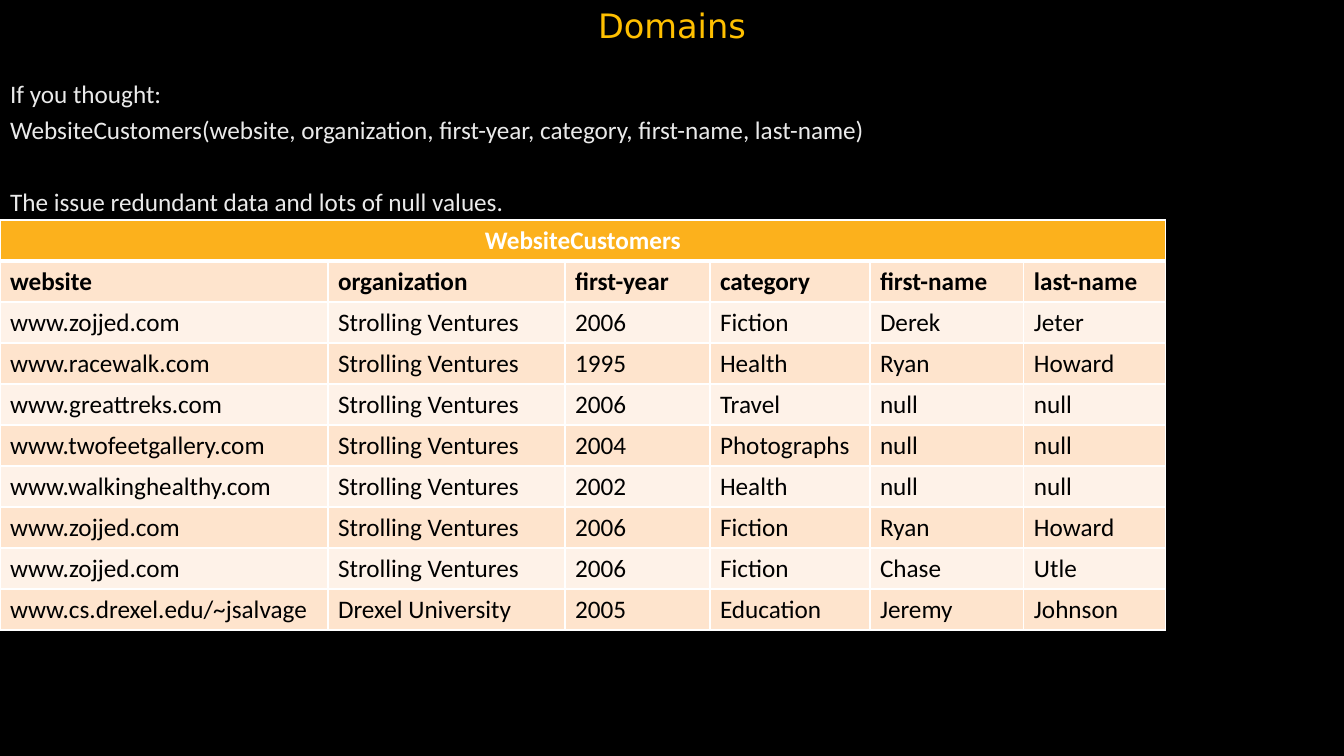
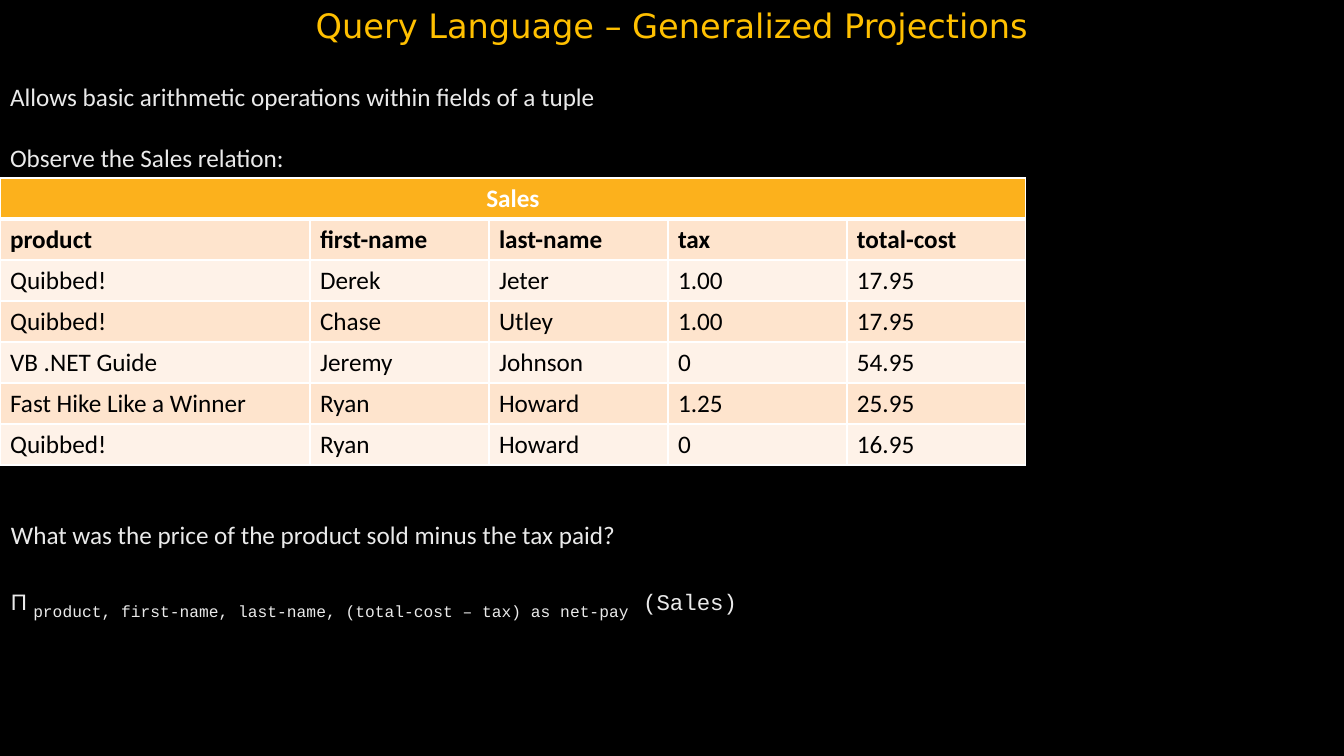
from lxml.etree import SubElement
from pptx import Presentation
from pptx.dml.color import RGBColor
from pptx.enum.text import MSO_ANCHOR as ANCHOR, MSO_AUTO_SIZE as AUTO, PP_ALIGN as ALIGN
from pptx.oxml.ns import qn
from pptx.util import Emu, Pt

BLACK = RGBColor(0x00, 0x00, 0x00)
WHITE = RGBColor(0xFF, 0xFF, 0xFF)
GOLD = RGBColor(0xFF, 0xC0, 0x00)
PALE = RGBColor(0xEA, 0xEA, 0xEA)
AMBER = RGBColor(0xFC, 0xB1, 0x1C)
PEACH = RGBColor(0xFE, 0xE4, 0xCD)
CREAM = RGBColor(0xFE, 0xF2, 0xE8)

TITLE_FONT, BODY_FONT, CODE_FONT = "DejaVu Sans", "Calibri", "Courier New"
SLIDE_W, SLIDE_H = 1344, 756
TITLE_BOX = (0, 0, SLIDE_W, 50)
ROW_H = 41
PX_PER_INCH = 100.8


def px(n):
    return Emu(round(n * 914400 / PX_PER_INCH))


def place(sp, box):
    sp.left, sp.top, sp.width, sp.height = map(px, box)


def add_run(p, text, color, size=18, font=BODY_FONT, bold=False, baseline=None):
    r = p.add_run()
    r.text = text
    r.font.size = Pt(size)
    r.font.name = font
    r.font.bold = bold
    r.font.color.rgb = color
    if baseline:
        r.font._element.set("baseline", str(baseline * 1000))


def fill_text(tf, paragraphs):
    tf.word_wrap = True
    tf.auto_size = AUTO.NONE
    tf.vertical_anchor = ANCHOR.TOP
    for i, (space, runs) in enumerate(paragraphs):
        p = tf.add_paragraph() if i else tf.paragraphs[0]
        pPr = p._p.get_or_add_pPr()
        pPr.set("marL", "0")
        pPr.set("indent", "0")
        SubElement(pPr, qn("a:buNone"))
        p.space_before = Pt(space)
        p.alignment = ALIGN.LEFT
        for text, style in runs:
            add_run(p, text, PALE, **style)


def plain(space, text):
    return space, [(text, {})]


def add_base(prs, title, body_box, paragraphs):
    s = prs.slides.add_slide(prs.slide_layouts[1])
    sp = s.shapes.title
    place(sp, TITLE_BOX)
    tf = sp.text_frame
    tf.auto_size = AUTO.NONE
    tf.vertical_anchor = ANCHOR.BOTTOM
    p = tf.paragraphs[0]
    p.alignment = ALIGN.CENTER
    add_run(p, title, GOLD, 24, TITLE_FONT)
    body = s.placeholders[1]
    place(body, body_box)
    fill_text(body.text_frame, paragraphs)
    return s


def set_borders(cell, **widths):
    tcPr = cell._tc.get_or_add_tcPr()
    for side in "LRTB":
        ln = SubElement(tcPr, qn(f"a:ln{side}"), w=str(Pt(widths.get(side, 1))))
        solid = SubElement(ln, qn("a:solidFill"))
        SubElement(solid, qn("a:srgbClr"), val=str(WHITE))


def add_relation(s, left, top, name, col_widths, rows):
    n_rows, n_cols = len(rows) + 1, len(col_widths)
    box = (left, top, sum(col_widths), ROW_H * n_rows)
    table = s.shapes.add_table(n_rows, n_cols, *map(px, box)).table
    table.first_row = table.horz_banding = False
    for col, width in zip(table.columns, col_widths):
        col.width = px(width)
    for row in table.rows:
        row.height = px(ROW_H)

    for cell in table.rows[0].cells:
        set_borders(cell, B=3)
        cell.fill.solid()
        cell.fill.fore_color.rgb = AMBER
    header = table.cell(0, 0)
    header.merge(table.cell(0, n_cols - 1))
    p = header.text_frame.paragraphs[0]
    p.alignment = ALIGN.CENTER
    add_run(p, name, WHITE, bold=True)

    for i, values in enumerate(rows):
        for j, value in enumerate(values):
            cell = table.cell(i + 1, j)
            set_borders(cell, T=1 if i else 3)
            cell.fill.solid()
            cell.fill.fore_color.rgb = CREAM if i % 2 else PEACH
            add_run(cell.text_frame.paragraphs[0], value, BLACK, bold=i == 0)


def add_domains(prs):
    s = add_base(prs, "Domains", (0, 73, SLIDE_W, 147), [
        plain(0, "If you thought:"),
        plain(4, "WebsiteCustomers(website, organization, first-year, category, first-name, last-name)"),
        plain(30, "The issue redundant data and lots of null values."),
    ])
    org = "Strolling Ventures"
    add_relation(s, 0, 220, "WebsiteCustomers", [328, 237, 145, 160, 154, 142], [
        ("website", "organization", "first-year", "category", "first-name", "last-name"),
        ("www.zojjed.com", org, "2006", "Fiction", "Derek", "Jeter"),
        ("www.racewalk.com", org, "1995", "Health", "Ryan", "Howard"),
        ("www.greattreks.com", org, "2006", "Travel", "null", "null"),
        ("www.twofeetgallery.com", org, "2004", "Photographs", "null", "null"),
        ("www.walkinghealthy.com", org, "2002", "Health", "null", "null"),
        ("www.zojjed.com", org, "2006", "Fiction", "Ryan", "Howard"),
        ("www.zojjed.com", org, "2006", "Fiction", "Chase", "Utle"),
        ("www.cs.drexel.edu/~jsalvage", "Drexel University", "2005", "Education", "Jeremy", "Johnson"),
    ])


def add_projections(prs):
    s = add_base(prs, "Query Language – Generalized Projections", (0, 76, SLIDE_W, 102), [
        plain(0, "Allows basic arithmetic operations within fields of a tuple"),
        plain(22, "Observe the Sales relation:"),
    ])
    novel = "Quibbed!"
    add_relation(s, 0, 178, "Sales", [310] + [179] * 4, [
        ("product", "first-name", "last-name", "tax", "total-cost"),
        (novel, "Derek", "Jeter", "1.00", "17.95"),
        (novel, "Chase", "Utley", "1.00", "17.95"),
        ("VB .NET Guide", "Jeremy", "Johnson", "0", "54.95"),
        ("Fast Hike Like a Winner", "Ryan", "Howard", "1.25", "25.95"),
        (novel, "Ryan", "Howard", "0", "16.95"),
    ])
    question = s.shapes.add_textbox(*map(px, (1, 514, SLIDE_W - 1, 122)))
    fill_text(question.text_frame, [
        plain(0, "What was the price of the product sold minus the tax paid?"),
        (24, [
            ("Π ", {"size": 16, "font": "Arial"}),
            ("product, first-name, last-name, (total-cost – tax) as net-pay",
             {"size": 20, "font": CODE_FONT, "baseline": -25}),
            (" (Sales)", {"size": 16, "font": CODE_FONT}),
        ]),
    ])


def main():
    prs = Presentation()
    prs.slide_width, prs.slide_height = px(SLIDE_W), px(SLIDE_H)
    background = prs.slide_master.background.fill
    background.solid()
    background.fore_color.rgb = BLACK
    add_domains(prs)
    add_projections(prs)
    prs.save("out.pptx")


if __name__ == "__main__":
    main()
